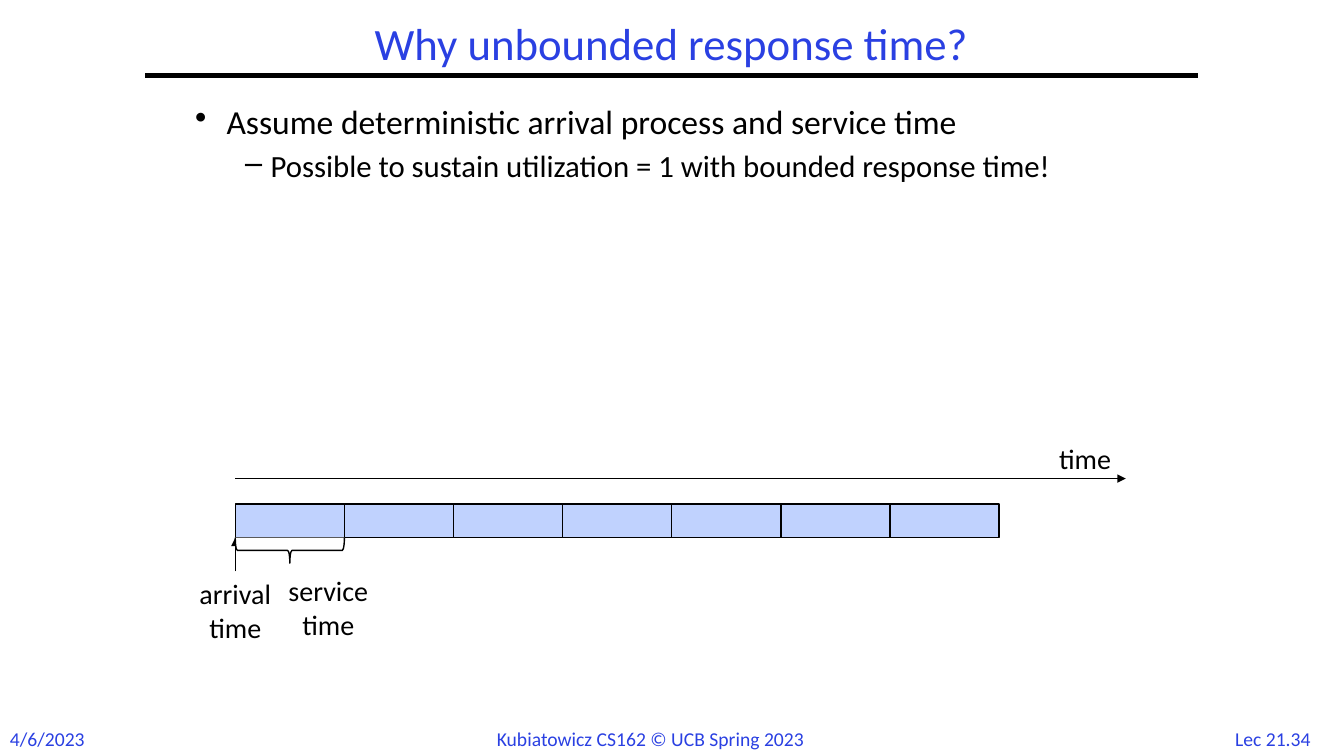
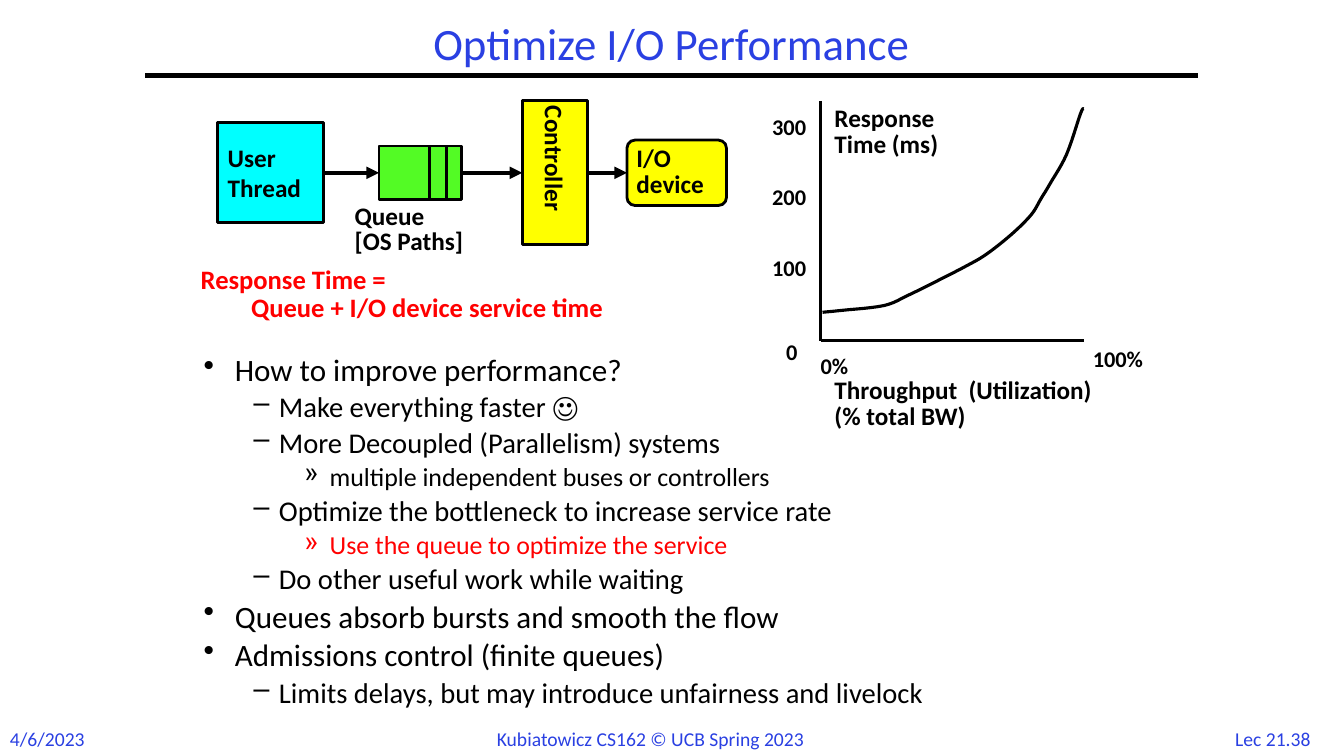
from itertools import pairwise

from lxml import etree
from pptx import Presentation
from pptx.dml.color import RGBColor
from pptx.enum.shapes import MSO_CONNECTOR, MSO_SHAPE
from pptx.enum.text import MSO_ANCHOR, PP_ALIGN
from pptx.oxml.ns import qn
from pptx.util import Cm, Pt

STRAIGHT = MSO_CONNECTOR.STRAIGHT
RECT, ROUNDED, BRACE = MSO_SHAPE.RECTANGLE, MSO_SHAPE.ROUNDED_RECTANGLE, MSO_SHAPE.LEFT_BRACE
LEFT, CENTER = PP_ALIGN.LEFT, PP_ALIGN.CENTER
TOP, MIDDLE = MSO_ANCHOR.TOP, MSO_ANCHOR.MIDDLE

FONT = "Calibri"
COLORS = {
    "ink": "000000",
    "title": "2A40E2",
    "paper": "FFFFFF",
    "job": "C0D2FE",
    "thread": "00FFFF",
    "queue": "53FB25",
    "device": "FFFF00",
    "alert": "FF0000",
}
SLIDE_W, SLIDE_H = 33.87, 19.05
WIDE_INSETS, TIGHT_INSETS = (0.25, 0.13), (0.18, 0.08)
LEVELS = [("•", 0.79, 0.79), ("–", 1.9, 0.64), ("»", 3.18, 0.64)]


def rgb(name):
    """Return the named colour."""
    return RGBColor.from_string(COLORS[name])


def style_font(paragraph, size, color="ink", bold=False):
    """Set the font of a whole paragraph."""
    font = paragraph.font
    font.name, font.size, font.bold = FONT, Pt(size), bold
    font.color.rgb = rgb(color)


def write(shape, lines, size, color="ink", bold=False, align=LEFT, anchor=TOP,
          spacing=1.0, insets=WIDE_INSETS):
    """Fill a shape with one paragraph per line of text."""
    frame = shape.text_frame
    frame.word_wrap, frame.vertical_anchor = True, anchor
    frame.margin_left = frame.margin_right = Cm(insets[0])
    frame.margin_top = frame.margin_bottom = Cm(insets[1])
    for number, line in enumerate(lines):
        paragraph = frame.add_paragraph() if number else frame.paragraphs[0]
        paragraph.text, paragraph.alignment = line, align
        paragraph.line_spacing = spacing
        style_font(paragraph, size, color, bold)


def add_label(slide, x, y, w, h, lines, size, **style):
    """Add a text box."""
    write(slide.shapes.add_textbox(Cm(x), Cm(y), Cm(w), Cm(h)), lines, size, **style)


def add_tight_label(slide, x, y, w, h, lines, size=18, color="ink", spacing=0.85):
    """Add a bold label with narrow insets."""
    add_label(slide, x, y, w, h, lines, size, color=color, bold=True,
              spacing=spacing, insets=TIGHT_INSETS)


def add_block(slide, kind, x, y, w, h, fill, weight):
    """Add an outlined shape without a shadow."""
    block = slide.shapes.add_shape(kind, Cm(x), Cm(y), Cm(w), Cm(h))
    block.shadow.inherit = False
    block.fill.solid()
    block.fill.fore_color.rgb = rgb(fill)
    block.line.color.rgb, block.line.width = rgb("ink"), Pt(weight)
    return block


def add_line(slide, x1, y1, x2, y2, weight, arrow=False):
    """Add a straight line, with an arrowhead at its end if asked."""
    line = slide.shapes.add_connector(STRAIGHT, Cm(x1), Cm(y1), Cm(x2), Cm(y2))
    line.line.color.rgb, line.line.width = rgb("ink"), Pt(weight)
    if arrow:
        outline = line.line._get_or_add_ln()
        etree.SubElement(outline, qn("a:tailEnd"), type="triangle")
    etree.SubElement(line._element.spPr, qn("a:effectLst"))
    return line


def add_bullets(slide, x, y, w, h, items, sizes, spacing):
    """Add a bulleted list of (level, text, colour) items."""
    frame = slide.shapes.add_textbox(Cm(x), Cm(y), Cm(w), Cm(h)).text_frame
    frame.word_wrap = True
    for number, (level, text, color) in enumerate(items):
        paragraph = frame.add_paragraph() if number else frame.paragraphs[0]
        paragraph.text, paragraph.level = text, level
        bullet, margin, hanging = LEVELS[level]
        properties = paragraph._p.get_or_add_pPr()
        properties.set("marL", str(Cm(margin)))
        properties.set("indent", str(-Cm(hanging)))
        etree.SubElement(properties, qn("a:buChar"), char=bullet)
        paragraph.line_spacing = spacing
        if number:
            paragraph.space_before = Pt(round(0.29 * sizes[level], 1))
        style_font(paragraph, sizes[level], color)


def add_framed_slide(deck, title, page):
    """Add a slide with the shared title, rule and footer."""
    slide = deck.slides.add_slide(deck.slide_layouts[6])
    add_label(slide, 3.66, 0.43, 26.52, 1.47, [title], 32, color="title",
              align=CENTER, anchor=MIDDLE, spacing=0.9)
    add_line(slide, 3.66, 1.9, 30.2, 1.9, 3)
    footers = [
        (0, 2.44, "4/6/2023", LEFT),
        (12.27, 9.35, "Kubiatowicz CS162 © UCB Spring 2023", LEFT),
        (30.71, 2.74, f"Lec {page}", CENTER),
    ]
    for x, w, text, align in footers:
        add_label(slide, x, 18.19, w, 0.86, [text], 14, color="title", align=align)
    return slide


def add_timeline(slide, x, y, w, jobs=7):
    """Draw a time axis with back-to-back jobs below it."""
    job_w, job_h, job_top = 2.75, 0.85, y + 0.64
    job_bottom = job_top + job_h
    add_line(slide, x, y, x + w, y, 1, arrow=True)
    add_label(slide, x + w - 1.93, y - 1.07, 1.85, 1.12, ["time"], 20)
    for job in range(jobs):
        add_block(slide, RECT, x + job * job_w, job_top, job_w, job_h, "job", 1)
    add_line(slide, x, job_bottom + 0.85, x, job_bottom, 1, arrow=True)
    add_label(slide, x - 1.32, job_bottom + 0.85, 2.64, 1.96, ["arrival", "time"], 20,
              align=CENTER)
    depth = 0.64
    brace = add_block(slide, BRACE, x + (job_w - depth) / 2,
                      job_bottom + (depth - job_w) / 2, depth, job_w, "paper", 1)
    brace.rotation = 270
    add_label(slide, x + 0.96, job_bottom + 0.78, 2.77, 1.96, ["service", "time"], 20,
              align=CENTER)


def add_io_path(slide, x, y, h):
    """Draw the chain from user thread to I/O device, centred in its height."""
    middle = y + h / 2

    def stage(kind, offset, w, stage_h, fill):
        """Add one stage of the chain."""
        return add_block(slide, kind, x + offset, middle - stage_h / 2, w, stage_h, fill, 2)

    thread = stage(RECT, 0, 2.67, 2.52, "thread")
    queue = stage(RECT, 4.06, 2.08, 1.35, "queue")
    controller = stage(RECT, 7.67, 1.65, h, "device")
    device = stage(ROUNDED, 10.31, 2.51, 1.65, "device")
    device.adjustments[0] = 0.125
    write(thread, ["User", "Thread"], 18, bold=True, anchor=MIDDLE)
    write(controller, ["Controller"], 18, bold=True, anchor=MIDDLE)
    controller.text_frame._txBody.bodyPr.set("vert", "eaVert")
    write(device, ["I/O", "device"], 18, bold=True, anchor=MIDDLE, spacing=0.85,
          insets=TIGHT_INSETS)
    for offset in (5.33, 5.76):
        add_line(slide, x + offset, middle - 0.7, x + offset, middle + 0.7, 2)
    for source, target in pairwise([thread, queue, controller, device]):
        arrow = add_line(slide, 0, 0, 0, 0, 3, arrow=True)
        arrow.begin_connect(source, 3)
        arrow.end_connect(target, 1)
    add_tight_label(slide, x + 3.27, middle + 0.72, 3.76, 1.45, ["Queue", "[OS Paths]"])


def smooth_points(nodes, steps=6):
    """Return points of a Catmull-Rom curve through the nodes."""
    padded = [nodes[0], *nodes, nodes[-1]]
    points = [nodes[0]]
    for a, b, c, d in zip(padded, padded[1:], padded[2:], padded[3:]):
        for step in range(1, steps + 1):
            t = step / steps
            points.append(tuple(
                b[i] + 0.5 * t * (c[i] - a[i]
                                  + t * (2 * a[i] - 5 * b[i] + 4 * c[i] - d[i])
                                  + t * t * (3 * (b[i] - c[i]) + d[i] - a[i]))
                for i in (0, 1)))
    return points


def add_response_plot(slide, x, y, w, h):
    """Draw the sketch of response time against throughput."""
    add_line(slide, x, y, x, y + h, 2)
    add_line(slide, x, y + h, x + w, y + h, 2)
    nodes = [(0.05, 5.33), (0.56, 5.28), (1.6, 5.16), (2.21, 4.9), (2.82, 4.6),
             (3.66, 4.17), (4.19, 3.86), (4.83, 3.35), (5.31, 2.87), (5.56, 2.46),
             (5.79, 2.08), (6.2, 1.35), (6.55, 0.33), (6.63, 0.2)]
    start, *rest = [(Cm(x + dx), Cm(y + dy)) for dx, dy in smooth_points(nodes)]
    builder = slide.shapes.build_freeform(*start)
    builder.add_line_segments(rest, close=False)
    curve = builder.convert_to_shape()
    curve.shadow.inherit = False
    curve.fill.background()
    curve.line.color.rgb, curve.line.width = rgb("ink"), Pt(2.25)

    ticks = [(-1.4, 0.3 + 1.78 * row, 1.3, str(300 - 100 * row)) for row in range(3)]
    ticks += [(-1.05, 5.97, 0.7, "0"), (-0.18, 6.32, 1.2, "0%"), (6.68, 6.15, 1.85, "100%")]
    for dx, dy, tick_w, text in ticks:
        add_tight_label(slide, x + dx, y + dy, tick_w, 0.76, [text], 16, spacing=0.9)
    add_tight_label(slide, x + 0.17, y + 0.08, 3.43, 1.47, ["Response", "Time (ms)"])
    add_tight_label(slide, x + 0.17, y + 6.93, 8.03, 1.45,
                    ["Throughput  (Utilization)", "(% total BW)"])


def build_unbounded_slide(deck):
    """Build the slide on deterministic arrivals."""
    slide = add_framed_slide(deck, "Why unbounded response time?", "21.34")
    add_bullets(slide, 4.67, 2.54, 24.1, 7.19, [
        (0, "Assume deterministic arrival process and service time", "ink"),
        (1, "Possible to sustain utilization = 1 with bounded response time!", "ink"),
    ], (24, 22), 0.9)
    add_timeline(slide, 5.93, 12.06, 22.44)


def build_optimize_slide(deck):
    """Build the slide on improving I/O performance."""
    slide = add_framed_slide(deck, "Optimize I/O Performance", "21.38")
    add_bullets(slide, 4.88, 8.89, 24, 9.55, [
        (0, "How to improve performance?", "ink"),
        (1, "Make everything faster ☺", "ink"),
        (1, "More Decoupled (Parallelism) systems", "ink"),
        (2, "multiple independent buses or controllers", "ink"),
        (1, "Optimize the bottleneck to increase service rate", "ink"),
        (2, "Use the queue to optimize the service", "alert"),
        (1, "Do other useful work while waiting", "ink"),
        (0, "Queues absorb bursts and smooth the flow", "ink"),
        (0, "Admissions control (finite queues)", "ink"),
        (1, "Limits delays, but may introduce unfairness and livelock", "ink"),
    ], (22.2, 20.4, 18.5), 0.8)
    add_io_path(slide, 5.49, 2.54, 3.63)
    add_tight_label(slide, 4.88, 6.68, 14, 1.52,
                    ["Response Time =", "\tQueue + I/O device service time"], 19, "alert")
    add_response_plot(slide, 20.68, 2.54, 6.65, 6.05)


def main():
    """Build and save the deck."""
    deck = Presentation()
    deck.slide_width, deck.slide_height = Cm(SLIDE_W), Cm(SLIDE_H)
    build_unbounded_slide(deck)
    build_optimize_slide(deck)
    deck.save("out.pptx")


if __name__ == "__main__":
    main()
